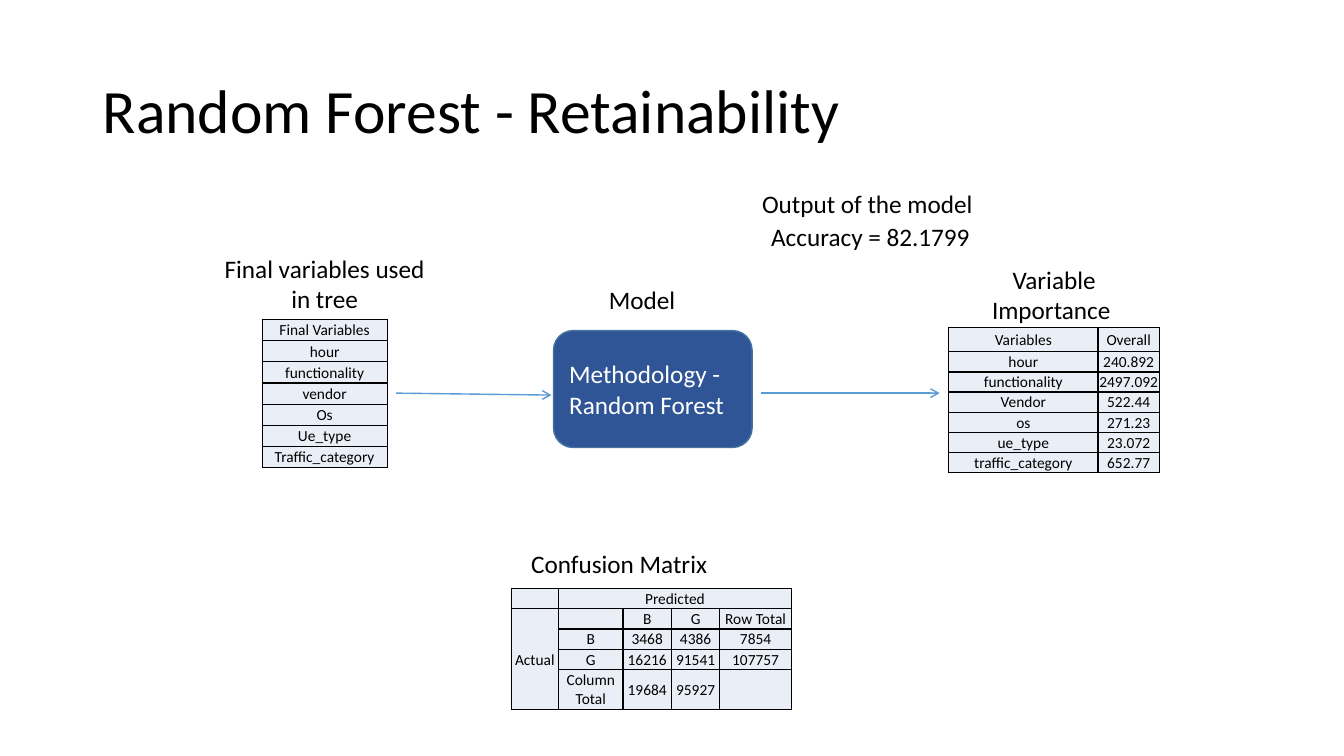
from dataclasses import dataclass
from lxml.etree import SubElement
from pptx import Presentation
from pptx.dml.color import RGBColor
from pptx.enum.shapes import MSO_CONNECTOR as Connector, MSO_SHAPE as Preset
from pptx.enum.text import MSO_ANCHOR as Anchor, PP_ALIGN as Align
from pptx.oxml.ns import qn
from pptx.util import Pt


@dataclass(frozen=True)
class Theme:
    font: str = "Calibri"
    ink: str = "000000"
    white: str = "FFFFFF"
    cell: str = "EAEFF7"
    box: str = "2F5597"
    box_edge: str = "43739E"
    arrow: str = "5B9BD5"
    title_size: int = 44
    label_size: int = 18
    cell_size: int = 11


theme = Theme()
PX = 9144


def write(paragraph, text, size, color=theme.ink, align=Align.LEFT):
    paragraph.alignment = align
    run = paragraph.add_run()
    run.text = text
    run.font.name = theme.font
    run.font.size = Pt(size)
    run.font.color.rgb = RGBColor.from_string(color)


def add_grid(slide, left, top, widths, heights, rows, merges=()):
    frame = slide.shapes.add_table(
        len(heights), len(widths), left * PX, top * PX, sum(widths) * PX, sum(heights) * PX)
    table = frame.table
    table.first_row = table.horz_banding = False
    for column, width in zip(table.columns, widths):
        column.width = width * PX
    for row, height in zip(table.rows, heights):
        row.height = height * PX
    for row, texts in zip(table.rows, rows):
        for cell, text in zip(row.cells, texts):
            cell.vertical_anchor = Anchor.MIDDLE
            cell.margin_left = cell.margin_right = cell.margin_bottom = 0
            cell.margin_top = PX
            properties = cell._tc.get_or_add_tcPr()
            for side in ("a:lnL", "a:lnR", "a:lnT", "a:lnB"):
                border = SubElement(properties, qn(side), w=str(Pt(1)))
                SubElement(SubElement(border, qn("a:solidFill")), qn("a:srgbClr"), val=theme.ink)
            cell.fill.solid()
            cell.fill.fore_color.rgb = RGBColor.from_string(theme.cell)
            paragraph = cell.text_frame.paragraphs[0]
            if text:
                write(paragraph, text, theme.cell_size, align=Align.CENTER)
            else:
                SubElement(paragraph._p, qn("a:endParaRPr"), sz=str(theme.cell_size * 100))
    for first, last in merges:
        table.cell(*first).merge(table.cell(*last))
    return table


presentation = Presentation()
presentation.slide_width = 1333 * PX
presentation.slide_height = 750 * PX
slide = presentation.slides.add_slide(presentation.slide_layouts[6])

title = slide.shapes.add_textbox(92 * PX, 40 * PX, 1150 * PX, 145 * PX)
title.text_frame.word_wrap = True
title.text_frame.vertical_anchor = Anchor.MIDDLE
title.text_frame.paragraphs[0].line_spacing = 0.9
write(title.text_frame.paragraphs[0], "Random Forest - Retainability", theme.title_size)

labels = [
    ("Final variables used in tree", 207, 246, 230, 71, Align.CENTER),
    ("Output of the model", 746, 182, 230, 40, Align.LEFT),
    ("Accuracy = 82.1799", 755, 215, 222, 40, Align.LEFT),
    ("Model", 594, 277, 107, 40, Align.LEFT),
    ("Variable Importance ", 959, 257, 173, 71, Align.CENTER),
    ("Confusion Matrix", 517, 539, 230, 40, Align.LEFT),
]
for text, left, top, width, height, align in labels:
    label = slide.shapes.add_textbox(left * PX, top * PX, width * PX, height * PX)
    label.text_frame.word_wrap = True
    write(label.text_frame.paragraphs[0], text, theme.label_size, align=align)

final_variables = ["Final Variables", "hour", "functionality", "vendor", "Os", "Ue_type",
                   "Traffic_category"]
add_grid(slide, 260, 317, [124], [21] * 7, [[name] for name in final_variables])

importance = [
    ("Variables", "Overall"),
    ("hour", "240.892"),
    ("functionality", "2497.092"),
    ("Vendor", "522.44"),
    ("os", "271.23"),
    ("ue_type", "23.072"),
    ("traffic_category", "652.77"),
]
add_grid(slide, 941, 325, [148, 61], [24] + [20] * 6, importance)

confusion = [
    ("", "Predicted", "", "", ""),
    ("Actual", "", "B", "G", "Row Total"),
    ("", "B", "3468", "4386", "7854"),
    ("", "G", "16216", "91541", "107757"),
    ("", "Column Total", "19684", "95927", ""),
]
matrix = add_grid(slide, 507, 584, [47, 64, 48, 48, 71], [20] * 4 + [40], confusion,
                  merges=[((0, 1), (0, 4)), ((1, 0), (4, 0))])
matrix.cell(0, 1).vertical_anchor = Anchor.BOTTOM

model = slide.shapes.add_shape(
    Preset.ROUNDED_RECTANGLE, 549 * PX, 328 * PX, 197 * PX, 116 * PX)
model.shadow.inherit = False
model.fill.solid()
model.fill.fore_color.rgb = RGBColor.from_string(theme.box)
model.line.color.rgb = RGBColor.from_string(theme.box_edge)
model.line.width = Pt(1)
model.text_frame.word_wrap = True
model.text_frame.vertical_anchor = Anchor.MIDDLE
write(model.text_frame.paragraphs[0], "Methodology - Random Forest", theme.label_size, theme.white)

for start_x, start_y, end_x, end_y in [(393, 390, 547, 392), (755, 390, 932, 390)]:
    arrow = slide.shapes.add_connector(
        Connector.STRAIGHT, start_x * PX, start_y * PX, end_x * PX, end_y * PX)
    arrow.line.color.rgb = RGBColor.from_string(theme.arrow)
    arrow.line.width = Pt(1)
    SubElement(arrow.line._get_or_add_ln(), qn("a:tailEnd"), type="arrow")
    SubElement(arrow._element.spPr, qn("a:effectLst"))

presentation.save("out.pptx")
